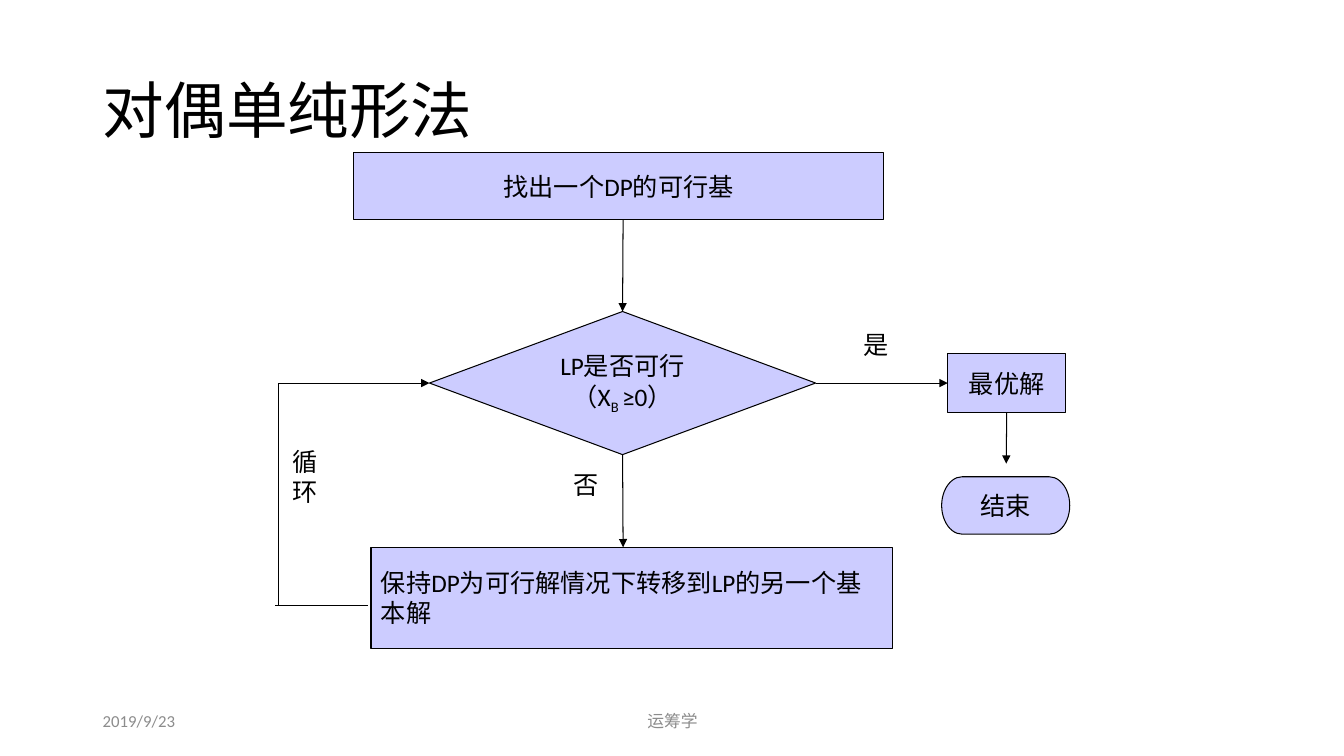
from pptx import Presentation
from pptx.dml.color import RGBColor
from pptx.enum.shapes import MSO_CONNECTOR, MSO_SHAPE
from pptx.enum.text import MSO_ANCHOR, PP_ALIGN
from pptx.oxml.ns import qn
from pptx.util import Inches, Pt
from lxml import etree

RECT = MSO_SHAPE.RECTANGLE
DIAMOND = MSO_SHAPE.DIAMOND
TERMINATOR = MSO_SHAPE.FLOWCHART_TERMINATOR
STRAIGHT = MSO_CONNECTOR.STRAIGHT
LEFT, CENTER = PP_ALIGN.LEFT, PP_ALIGN.CENTER
TOP, MIDDLE = MSO_ANCHOR.TOP, MSO_ANCHOR.MIDDLE
TOP_SIDE, LEFT_SIDE, BOTTOM_SIDE, RIGHT_SIDE = range(4)
BLACK, GRAY, LAVENDER = "000000", "8C8C8C", "CCCCFF"
FONT = "Calibri"


def rgb(value):
    return RGBColor.from_string(value)


def write(sp, lines, size=18, color=BLACK, align=LEFT, anchor=MIDDLE, wrap=True):
    tf = sp.text_frame
    tf.word_wrap = wrap
    tf.vertical_anchor = anchor
    for i, line in enumerate(lines):
        p = tf.paragraphs[0] if i == 0 else tf.add_paragraph()
        p.alignment = align
        p.font.size = Pt(size)
        p.font.name = FONT
        p.font.color.rgb = rgb(color)
        for j, part in enumerate(line.split("_")):
            r = p.add_run()
            r.text = part
            if j == 1:
                r._r.get_or_add_rPr().set("baseline", "-25000")


def add_text(s, box, lines, **style):
    sp = s.shapes.add_textbox(*map(Inches, box))
    write(sp, lines, **style)


def add_node(s, kind, box, lines, fill=LAVENDER, align=CENTER, wrap=False):
    sp = s.shapes.add_shape(kind, *map(Inches, box))
    sp.shadow.inherit = False
    sp.fill.solid()
    sp.fill.fore_color.rgb = rgb(fill)
    sp.line.color.rgb = rgb(BLACK)
    sp.line.width = Pt(0.75)
    write(sp, lines, align=align, wrap=wrap)
    return sp


def add_line(s, start, end, begin=None, finish=None, arrow=True):
    cx = s.shapes.add_connector(STRAIGHT, *map(Inches, (*start, *end)))
    cx.line.color.rgb = rgb(BLACK)
    cx.line.width = Pt(0.75)
    if arrow:
        tail = etree.SubElement(cx.line._get_or_add_ln(), qn("a:tailEnd"))
        tail.set("type", "triangle")
    etree.SubElement(cx._element.spPr, qn("a:effectLst"))
    if begin:
        cx.begin_connect(*begin)
    if finish:
        cx.end_connect(*finish)


def add_title(s, box, text):
    title = s.shapes.title
    title.left, title.top, title.width, title.height = map(Inches, box)
    write(title, [text], size=44)
    title.text_frame.paragraphs[0].line_spacing = 0.9


def add_footer(s, x, y, w, h):
    add_text(s, (x, y, 3, h), ["2019/9/23"], size=12, color=GRAY)
    add_text(s, (x + (w - 4.5) / 2, y, 4.5, h), ["运筹学"],
             size=12, color=GRAY, align=CENTER)


def add_flowchart(s, x, y, w, h):
    right, bottom = x + w, y + h
    mid_x, mid_y = x + 3.45, y + 2.29
    loop_x, loop_y = x + 0.03, bottom - 0.42
    end_x = right - 0.63

    add_node(s, RECT, (x + 0.78, y, 5.25, 0.67), ["找出一个DP的可行基"])
    check = add_node(s, DIAMOND, (mid_x - 1.92, mid_y - 0.71, 3.83, 1.42),
                     ["LP是否可行", "（X_B _≥0）"])
    add_node(s, RECT, (x + 0.95, bottom - 1, 5.17, 1),
             ["保持DP为可行解情况下转移到LP的另一个基本解"], align=LEFT, wrap=True)
    best = add_node(s, RECT, (end_x - 0.58, mid_y - 0.29, 1.17, 0.58), ["最优解"])
    add_node(s, TERMINATOR, (right - 1.27, y + 3.22, 1.27, 0.57), ["结束"],
             fill="CDCDFF", wrap=True)

    add_line(s, (mid_x, y + 0.67), (mid_x, mid_y - 0.71), finish=(check, TOP_SIDE))
    add_line(s, (mid_x, mid_y + 0.71), (mid_x, bottom - 1), begin=(check, BOTTOM_SIDE))
    add_line(s, (mid_x + 1.92, mid_y), (end_x - 0.58, mid_y),
             begin=(check, RIGHT_SIDE), finish=(best, LEFT_SIDE))
    add_line(s, (end_x, mid_y + 0.29), (end_x, y + 3.09), begin=(best, BOTTOM_SIDE))
    add_line(s, (loop_x, mid_y), (mid_x - 1.92, mid_y), finish=(check, LEFT_SIDE))
    add_line(s, (loop_x, mid_y), (loop_x, loop_y), arrow=False)
    add_line(s, (x, loop_y), (x + 0.92, loop_y), arrow=False)

    for dx, dy, height, lines in ((5.74, 1.71, 0.4, ["是"]),
                                  (2.86, 3.1, 0.4, ["否"]),
                                  (0.07, 2.87, 0.71, ["循", "环"])):
        add_text(s, (x + dx, y + dy, 0.45, height), lines, anchor=TOP, wrap=False)


def main():
    prs = Presentation()
    prs.slide_width, prs.slide_height = Inches(13.33), Inches(7.5)
    s = prs.slides.add_slide(prs.slide_layouts[5])
    add_footer(s, 0.92, 6.95, 11.5, 0.4)
    add_title(s, (0.92, 0.4, 11.5, 1.45), "对偶单纯形法")
    add_flowchart(s, 2.73, 1.51, 7.88, 4.92)
    prs.save("out.pptx")


if __name__ == "__main__":
    main()
